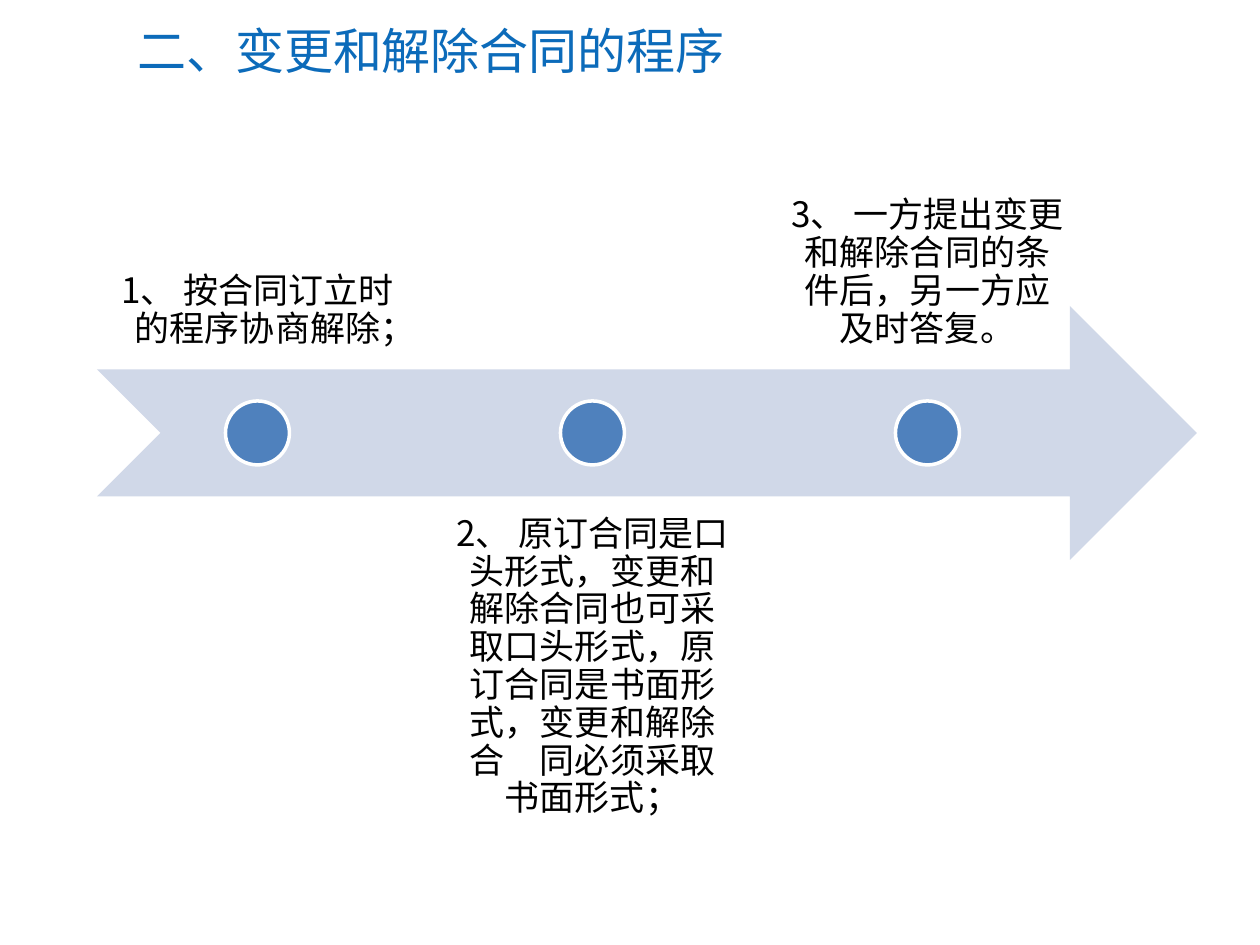
"""Build the slide on the procedure for changing and ending a contract."""
from lxml.etree import SubElement
from pptx import Presentation
from pptx.dml.color import RGBColor
from pptx.enum.shapes import MSO_SHAPE
from pptx.enum.text import MSO_ANCHOR, PP_ALIGN
from pptx.oxml.ns import qn
from pptx.util import Pt

TITLE = "二、变更和解除合同的程序"
STEPS = [
    "1、 按合同订立时的程序协商解除；",
    "2、 原订合同是口头形式，变更和解除合同也可采取口头形式，"
    "原订合同是书面形式，变更和解除合\u3000同必须采取书面形式；",
    "3、 一方提出变更和解除合同的条件后，另一方应及时答复。",
]

BLUE_TITLE = RGBColor(0x0C, 0x6B, 0xBA)
ARROW_FILL = RGBColor(0xD0, 0xD8, 0xE8)
DOT_FILL = RGBColor(0x4F, 0x81, 0xBD)
WHITE = RGBColor(0xFF, 0xFF, 0xFF)
BLACK = RGBColor(0, 0, 0)

PIXEL = 914400 // 126
ARROW = (97, 306, 1100, 254)
STEP_LEFT, STEP_PITCH = 98, 335
STEP_WIDTH, STEP_HEIGHT = 319, 254
UPPER_TOP, LOWER_TOP = 115, 496
DOT_SIZE = 64
STEP_INSET = 20


def scaled(*pixels):
    return [round(value * PIXEL) for value in pixels]


def add_text(slide, box, text, size, font_name, color, anchor):
    text_frame = slide.shapes.add_textbox(*scaled(*box)).text_frame
    text_frame.word_wrap = True
    text_frame.vertical_anchor = anchor
    text_frame.text = text
    run = text_frame.paragraphs[0].runs[0]
    run.font.size = Pt(size)
    run.font.name = font_name
    run.font.color.rgb = color
    east_asian = SubElement(run.font._element, qn("a:ea"))
    east_asian.set("typeface", "Noto Sans CJK SC")
    return text_frame


def add_shape(slide, kind, box, fill):
    shape = slide.shapes.add_shape(kind, *scaled(*box))
    shape.shadow.inherit = False
    shape.fill.solid()
    shape.fill.fore_color.rgb = fill
    shape.line.fill.background()
    return shape


def add_step(slide, index, text):
    left = STEP_LEFT + index * STEP_PITCH
    below = index % 2 == 1
    text_frame = add_text(
        slide, (left, LOWER_TOP if below else UPPER_TOP, STEP_WIDTH, STEP_HEIGHT),
        text, 20, "Noto Sans CJK SC", BLACK,
        MSO_ANCHOR.TOP if below else MSO_ANCHOR.BOTTOM)
    for side in ("left", "top", "right", "bottom"):
        setattr(text_frame, f"margin_{side}", STEP_INSET * PIXEL)
    paragraph = text_frame.paragraphs[0]
    paragraph.alignment = PP_ALIGN.CENTER
    paragraph.line_spacing = 0.9

    dot_left = left + (STEP_WIDTH - DOT_SIZE) / 2
    dot_top = ARROW[1] + (ARROW[3] - DOT_SIZE) / 2
    dot = add_shape(slide, MSO_SHAPE.OVAL,
                    (dot_left, dot_top, DOT_SIZE, DOT_SIZE), DOT_FILL)
    dot.line.color.rgb = WHITE
    dot.line.width = Pt(2)


presentation = Presentation()
presentation.slide_width, presentation.slide_height = scaled(1260, 945)
slide = presentation.slides.add_slide(presentation.slide_layouts[6])
add_text(slide, (125, 13, 1099, 73), TITLE, 28, "Calibri", BLUE_TITLE, MSO_ANCHOR.MIDDLE)
add_shape(slide, MSO_SHAPE.NOTCHED_RIGHT_ARROW, ARROW, ARROW_FILL)
for index, text in enumerate(STEPS):
    add_step(slide, index, text)
presentation.save("out.pptx")
